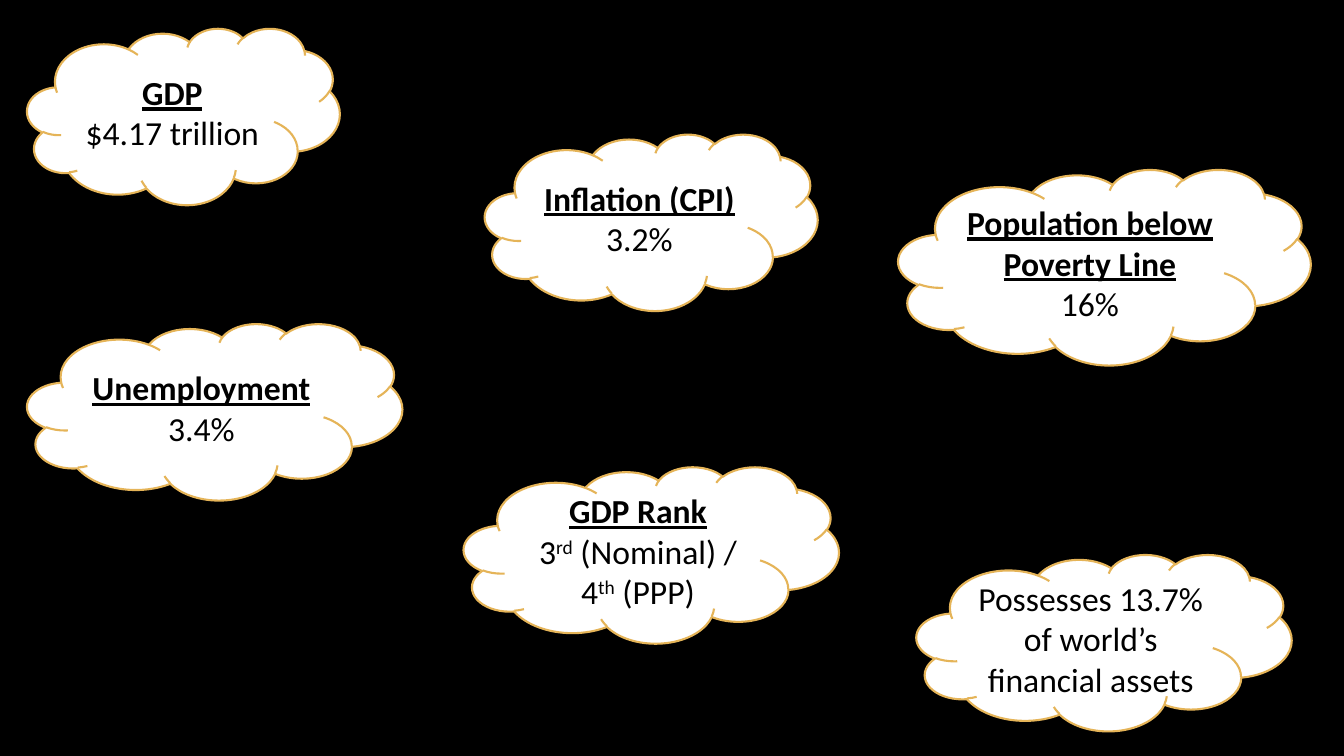
from dataclasses import dataclass
from pptx import Presentation
from pptx.dml.color import RGBColor
from pptx.enum.shapes import MSO_SHAPE
from pptx.enum.text import MSO_ANCHOR, PP_ALIGN
from pptx.util import Inches, Pt

CLOUD = MSO_SHAPE.CLOUD
MIDDLE = MSO_ANCHOR.MIDDLE
CENTER = PP_ALIGN.CENTER


@dataclass(frozen=True)
class Theme:
    back: RGBColor = RGBColor(0, 0, 0)
    fill: RGBColor = RGBColor(255, 255, 255)
    edge: RGBColor = RGBColor.from_string("E5B458")
    ink: RGBColor = RGBColor(0, 0, 0)
    font: str = "Calibri"
    size: Pt = Pt(24)
    rule: Pt = Pt(1.5)


theme = Theme()
LEFT = 0.27
WIDE, HIGH = 3.72, 1.75

clouds = [
    (LEFT, 0.28, 3.1, HIGH, "GDP", ["$4.17 trillion"]),
    (4.81, 1.33, 3.3, HIGH, "Inflation (CPI)", ["3.2%"]),
    (8.91, 1.68, 4.09, 1.94, "Population below Poverty Line", ["16%"]),
    (LEFT, 3.21, WIDE, HIGH, "Unemployment", ["3.4%"]),
    (4.6, 4.63, WIDE, HIGH, "GDP Rank",
     ["3", "rd", " (Nominal) / 4", "th", " (PPP)"]),
    (9.09, 5.5, WIDE, HIGH, "",
     ["Possesses 13.7% of world’s financial assets"]),
]


def style(run, head=False, raised=False):
    font = run.font
    font.name, font.size = theme.font, theme.size
    font.color.rgb = theme.ink
    font.bold = font.underline = head
    if raised:
        run._r.get_or_add_rPr().set("baseline", "30000")


deck = Presentation()
deck.slide_width, deck.slide_height = Inches(13.33), Inches(7.5)
slide = deck.slides.add_slide(deck.slide_layouts[6])
slide.background.fill.solid()
slide.background.fill.fore_color.rgb = theme.back

for left, top, width, height, head, parts in clouds:
    cloud = slide.shapes.add_shape(
        CLOUD, Inches(left), Inches(top), Inches(width), Inches(height))
    cloud.shadow.inherit = False
    cloud.fill.solid()
    cloud.fill.fore_color.rgb = theme.fill
    cloud.line.color.rgb = theme.edge
    cloud.line.width = theme.rule
    frame = cloud.text_frame
    frame.word_wrap = True
    frame.vertical_anchor = MIDDLE
    body = frame.paragraphs[0]
    if head:
        body.text = head
        body.alignment = CENTER
        style(body.runs[0], head=True)
        body = frame.add_paragraph()
    body.alignment = CENTER
    for order, part in enumerate(parts):
        run = body.add_run()
        run.text = part
        style(run, raised=order % 2 == 1)

deck.save("out.pptx")
